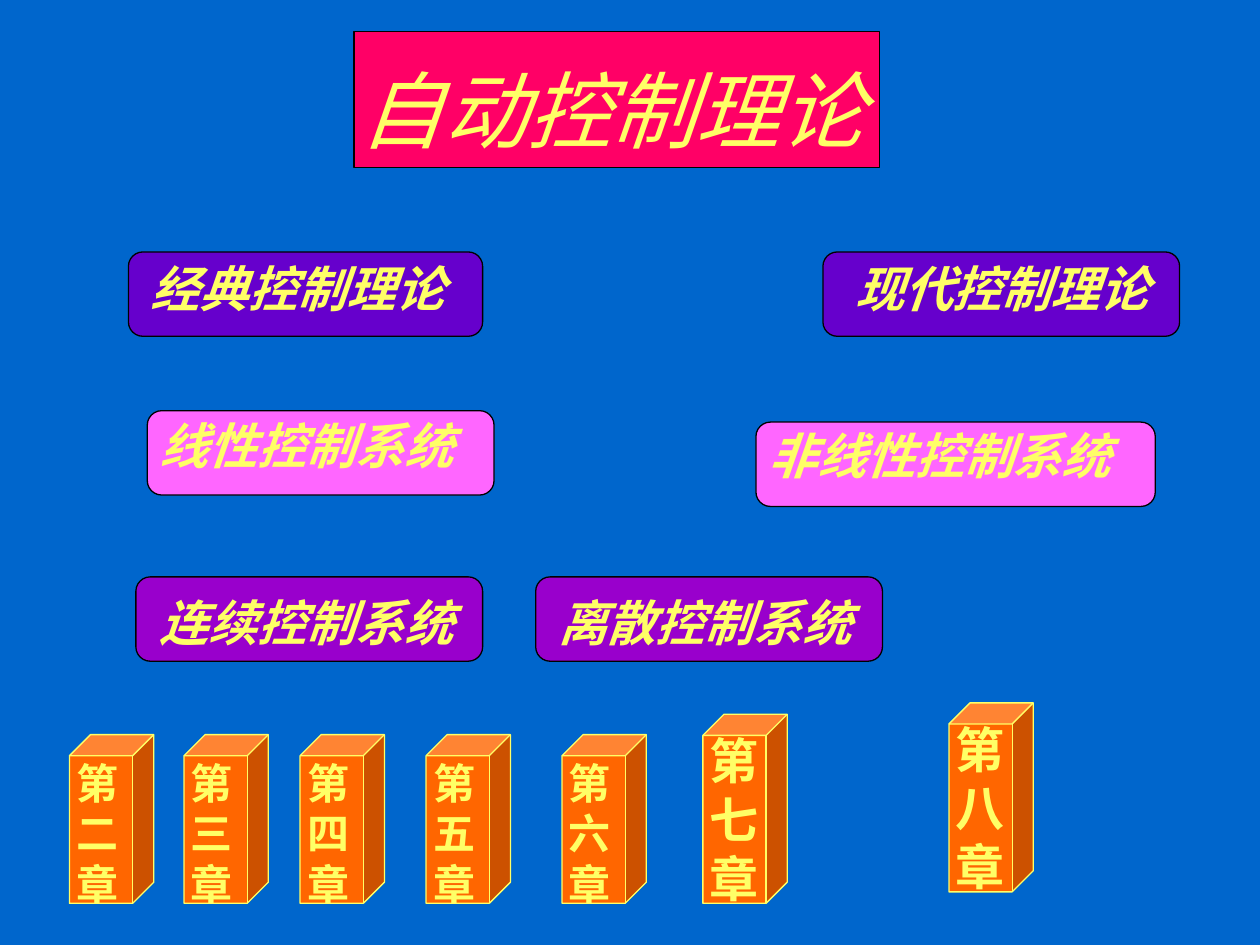
from dataclasses import dataclass

import pptx
import pptx.dml.color
import pptx.enum.lang
import pptx.enum.shapes
import pptx.enum.text
import pptx.util

Cm = pptx.util.Cm
Pt = pptx.util.Pt
RGB = pptx.dml.color.RGBColor
SHAPE = pptx.enum.shapes.MSO_SHAPE
AUTO = pptx.enum.text.MSO_AUTO_SIZE


@dataclass(frozen=True)
class Theme:
    background: str = "0066CC"
    title_fill: str = "FF0066"
    theory: str = "6600CC"
    linearity: str = "FF66FF"
    time_domain: str = "9900CC"
    chapter: str = "FF6600"
    text: str = "FFFF66"
    outline: str = "000000"
    title_font: str = "Arial"
    body_font: str = "Times New Roman"
    title_size: int = 48
    large: int = 28
    small: int = 24
    line_width: float = 0.75


THEME = Theme()


@dataclass(frozen=True)
class Topic:
    """A rounded panel and its label; lengths in centimetres."""
    text: str
    fill: str
    left: float
    top: float
    width: float
    label_left: float
    label_top: float
    label_width: float


@dataclass(frozen=True)
class Chapter:
    """A cube with one character per line; lengths in centimetres."""
    number: str
    left: float
    top: float = 14.81
    height: float = 3.4
    label_drop: float = 0.33
    label_width: float = 1.35
    size: int = THEME.small


TOPIC_HEIGHT, TOPIC_LABEL_HEIGHT = 1.7, 1.45
CUBE_WIDTH, CUBE_LABEL_SHIFT = 1.7, -0.11
TALL = dict(height=3.81, label_drop=0.2, label_width=1.5, size=THEME.large)

TOPICS = [
    Topic("经典控制理论", THEME.theory, 2.59, 5.08, 7.14, 2.79, 5.08, 7.37),
    Topic("现代控制理论", THEME.theory, 16.59, 5.08, 7.19, 16.99, 5.08, 6.55),
    Topic("线性控制系统", THEME.linearity, 2.97, 8.28, 6.99, 2.97, 8.26, 6.58),
    Topic("非线性控制系统", THEME.linearity, 15.24, 8.51, 8.05, 15.24, 8.46, 7.57),
    Topic("连续控制系统", THEME.time_domain, 2.74, 11.63, 6.99, 2.97, 11.81, 6.58),
    Topic("离散控制系统", THEME.time_domain, 10.8, 11.63, 6.99, 11.0, 11.81, 6.58),
]
CHAPTERS = [
    Chapter("二", 1.4),
    Chapter("三", 3.71),
    Chapter("四", 6.05),
    Chapter("五", 8.59),
    Chapter("六", 11.33),
    Chapter("七", 14.17, 14.4, **TALL),
    Chapter("八", 19.13, 14.17, **TALL),
]


def add_solid(shapes, kind, box: tuple, fill: str, outline: str):
    sp = shapes.add_shape(kind, *map(Cm, box))
    sp.shadow.inherit = False
    sp.fill.solid()
    sp.fill.fore_color.rgb = RGB.from_string(fill)
    sp.line.color.rgb = RGB.from_string(outline)
    sp.line.width = Pt(THEME.line_width)
    return sp


def format_runs(tf, font: str, size: int, bold: bool, italic: bool) -> None:
    for p in tf.paragraphs:
        for r in p.runs:
            r.font.name = font
            r.font.size = Pt(size)
            r.font.bold = bold
            r.font.italic = italic
            r.font.color.rgb = RGB.from_string(THEME.text)
            r.font.language_id = pptx.enum.lang.MSO_LANGUAGE_ID.SIMPLIFIED_CHINESE


def add_label(shapes, box: tuple, text: str, size: int, italic: bool, wrap: bool) -> None:
    tf = shapes.add_textbox(*map(Cm, box)).text_frame
    tf.word_wrap = wrap
    tf.auto_size = AUTO.SHAPE_TO_FIT_TEXT
    tf.text = text
    format_runs(tf, THEME.body_font, size, True, italic)


def add_title(slide, text: str) -> None:
    add_solid(slide.shapes, SHAPE.RECTANGLE, (7.14, 0.64, 10.59, 2.74),
              THEME.title_fill, THEME.outline)
    title = slide.shapes.title
    title.left, title.top, title.width, title.height = map(Cm, (6.99, 0.64, 11.43, 2.74))
    tf = title.text_frame
    tf.text = text
    tf.word_wrap = True
    tf.auto_size = AUTO.NONE
    tf.vertical_anchor = pptx.enum.text.MSO_ANCHOR.TOP
    p = tf.paragraphs[0]
    p.alignment = pptx.enum.text.PP_ALIGN.LEFT
    p.line_spacing = 1.2
    format_runs(tf, THEME.title_font, THEME.title_size, False, True)
    # The title must lie in front of its frame.
    slide.shapes.element.append(title.element)


def add_topic(slide, topic: Topic) -> None:
    group = slide.shapes.add_group_shape()
    sp = add_solid(group.shapes, SHAPE.ROUNDED_RECTANGLE,
                   (topic.left, topic.top, topic.width, TOPIC_HEIGHT),
                   topic.fill, THEME.outline)
    sp.adjustments[0] = 0.17
    add_label(group.shapes,
              (topic.label_left, topic.label_top, topic.label_width, TOPIC_LABEL_HEIGHT),
              topic.text, THEME.large, italic=True, wrap=True)


def add_chapter(slide, chapter: Chapter) -> None:
    group = slide.shapes.add_group_shape()
    sp = add_solid(group.shapes, SHAPE.CUBE,
                   (chapter.left, chapter.top, CUBE_WIDTH, chapter.height),
                   THEME.chapter, THEME.text)
    sp.adjustments[0] = 0.25
    add_label(group.shapes,
              (chapter.left + CUBE_LABEL_SHIFT, chapter.top + chapter.label_drop,
               chapter.label_width, chapter.height),
              "\n".join(("第", chapter.number, "章")), chapter.size,
              italic=False, wrap=False)


def main() -> None:
    prs = pptx.Presentation()
    prs.slide_width, prs.slide_height = Cm(25.4), Cm(19.05)
    slide = prs.slides.add_slide(prs.slide_layouts.get_by_name("Title Only"))
    slide.background.fill.solid()
    slide.background.fill.fore_color.rgb = RGB.from_string(THEME.background)
    add_title(slide, "自动控制理论")
    for topic in TOPICS:
        add_topic(slide, topic)
    for chapter in CHAPTERS:
        add_chapter(slide, chapter)
    prs.save("out.pptx")


if __name__ == "__main__":
    main()
